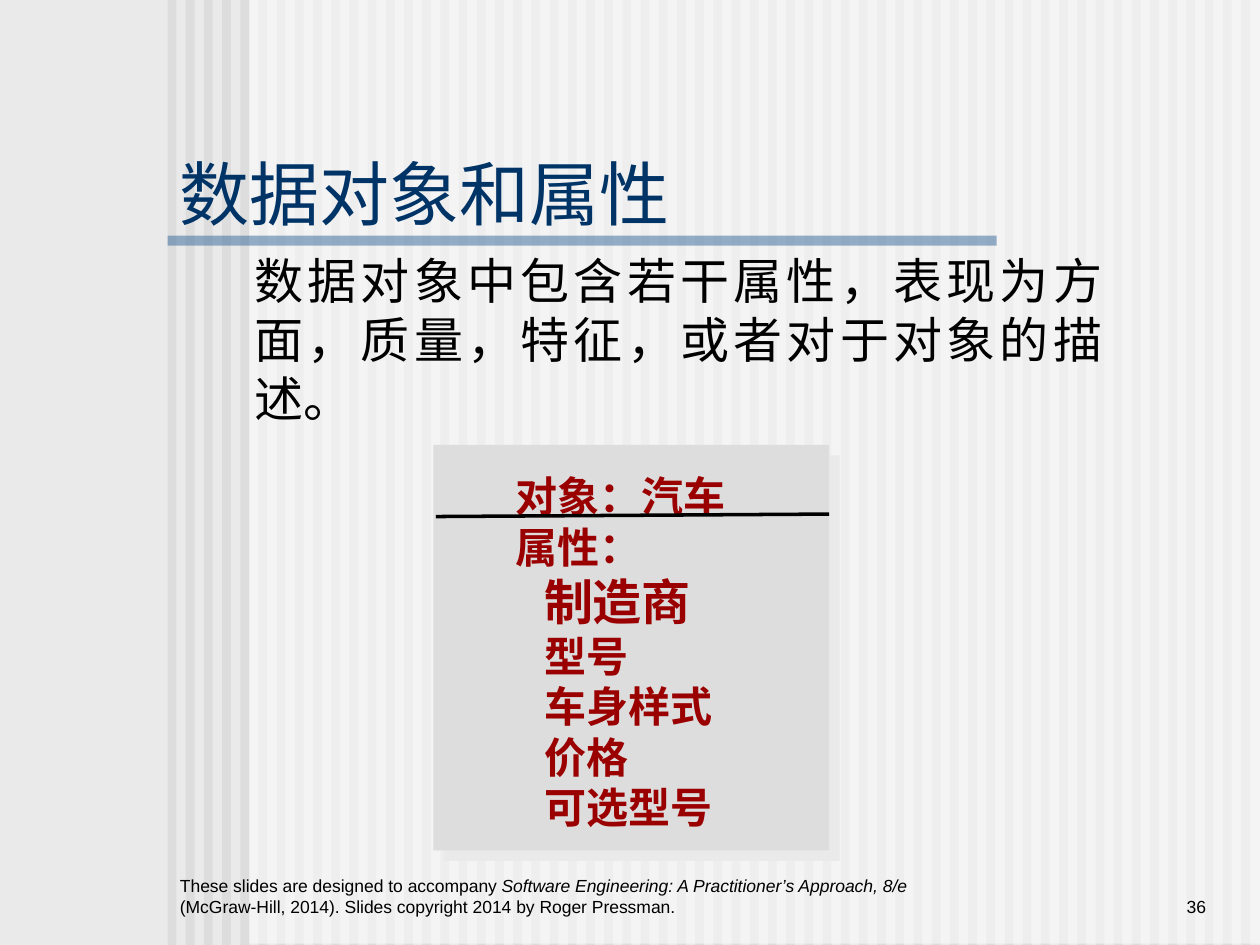
from dataclasses import dataclass

from lxml import etree
from pptx import Presentation
from pptx.dml.color import RGBColor
from pptx.enum.shapes import MSO_CONNECTOR, MSO_SHAPE
from pptx.enum.text import MSO_ANCHOR, PP_ALIGN
from pptx.oxml.ns import qn
from pptx.shapes.autoshape import Shape
from pptx.slide import Slide
from pptx.util import Inches, Pt

BACKDROP = RGBColor(0xEA, 0xEA, 0xEA)
STRIPE = RGBColor(0xDD, 0xDD, 0xDD)
WHITE = RGBColor(0xFF, 0xFF, 0xFF)
BLACK = RGBColor(0x00, 0x00, 0x00)
RULE_BLUE = RGBColor(0x33, 0x66, 0x99)
TITLE_BLUE = RGBColor(0x00, 0x33, 0x66)
DARK_RED = RGBColor(0x9A, 0x00, 0x00)

RECTANGLE = MSO_SHAPE.RECTANGLE
STRAIGHT = MSO_CONNECTOR.STRAIGHT
MIDDLE, BOTTOM = MSO_ANCHOR.MIDDLE, MSO_ANCHOR.BOTTOM
LEFT, RIGHT, JUSTIFY = PP_ALIGN.LEFT, PP_ALIGN.RIGHT, PP_ALIGN.JUSTIFY

FONT = "Arial"
STRIPE_COUNT = 60
STRIPE_LEFT = 1.33
STRIPE_PITCH = 8.52 / (STRIPE_COUNT - 1)
ITEM_INDENT = 0.23


@dataclass(frozen=True)
class Area:
    left: float
    top: float
    width: float
    height: float


@dataclass(frozen=True)
class Span:
    text: str
    italic: bool = False


@dataclass(frozen=True)
class Line:
    spans: tuple[Span, ...]
    size: int
    indent: float = 0
    spacing: float = 1


@dataclass(frozen=True)
class TextBlock:
    area: Area
    lines: tuple[Line, ...]
    color: RGBColor = BLACK
    anchor: MSO_ANCHOR = MIDDLE
    align: PP_ALIGN = LEFT
    bold: bool = False


def plain(text: str, size: int, indent: float = 0, spacing: float = 1) -> Line:
    return Line((Span(text),), size, indent, spacing)


FOOTER = TextBlock(
    Area(1.33, 6.83, 6, 0.5),
    (
        Line(
            (
                Span("These slides are designed to accompany "),
                Span("Software Engineering: A Practitioner’s Approach, 8/e ", True),
                Span("(McGraw-Hill, 2014). Slides copyright 2014 by Roger Pressman."),
            ),
            10,
        ),
    ),
    anchor=BOTTOM,
)
PAGE_NUMBER = TextBlock(
    Area(8.25, 6.83, 1.42, 0.5), (plain("36", 10),), anchor=BOTTOM, align=RIGHT
)
TITLE = TextBlock(
    Area(1.33, 1.17, 7.08, 0.72), (plain("数据对象和属性", 40),), TITLE_BLUE
)
DEFINITION = TextBlock(
    Area(1.92, 1.94, 6.93, 1.5),
    (plain("数据对象中包含若干属性，表现为方面，质量，特征，或者对于对象的描述。", 28),),
    align=JUSTIFY,
)
CAR_OBJECT = TextBlock(
    Area(3.99, 3.49, 2.5, 3.16),
    (
        plain("对象：汽车", 24, spacing=1.5),
        plain("属性：", 24),
        plain("制造商", 28, ITEM_INDENT),
        plain("型号", 24, ITEM_INDENT),
        plain("车身样式", 24, ITEM_INDENT),
        plain("价格", 24, ITEM_INDENT),
        plain("可选型号", 24, ITEM_INDENT),
    ),
    DARK_RED,
    align=JUSTIFY,
    bold=True,
)


def add_rectangle(page: Slide, area: Area, color: RGBColor, opacity: int = 100) -> Shape:
    shape = page.shapes.add_shape(
        RECTANGLE,
        Inches(area.left),
        Inches(area.top),
        Inches(area.width),
        Inches(area.height),
    )
    shape.shadow.inherit = False
    shape.fill.solid()
    shape.fill.fore_color.rgb = color
    shape.line.fill.background()
    if opacity < 100:
        tint = shape.element.spPr.find(qn("a:solidFill")).find(qn("a:srgbClr"))
        etree.SubElement(tint, qn("a:alpha"), val=str(opacity * 1000))
    return shape


def add_shadow(shape: Shape, color: RGBColor, distance: float, angle: int) -> None:
    effects = shape.element.spPr.find(qn("a:effectLst"))
    shadow = etree.SubElement(
        effects,
        qn("a:outerShdw"),
        dist=str(Pt(distance)),
        dir=str(angle * 60000),
        algn="ctr",
        rotWithShape="0",
    )
    etree.SubElement(shadow, qn("a:srgbClr"), val=str(color))


def add_text(page: Slide, block: TextBlock) -> None:
    area = block.area
    box = page.shapes.add_textbox(
        Inches(area.left), Inches(area.top), Inches(area.width), Inches(area.height)
    )
    frame = box.text_frame
    frame.word_wrap = True
    frame.vertical_anchor = block.anchor
    for index, line in enumerate(block.lines):
        para = frame.add_paragraph() if index else frame.paragraphs[0]
        para.alignment = block.align
        para.line_spacing = line.spacing
        properties = para._p.get_or_add_pPr()
        properties.set("hangingPunct", "0")
        properties.set("marL", str(Inches(line.indent)))
        for span in line.spans:
            run = para.add_run()
            run.text = span.text
            run.font.name = FONT
            run.font.size = Pt(line.size)
            run.font.bold = block.bold
            run.font.italic = span.italic
            run.font.color.rgb = block.color


def add_divider(page: Slide) -> None:
    divider = page.shapes.add_connector(
        STRAIGHT, Inches(3.46), Inches(4.1), Inches(6.58), Inches(4.08)
    )
    divider.line.color.rgb = BLACK
    divider.line.width = Pt(2)
    etree.SubElement(divider.element.spPr, qn("a:effectLst"))


def main() -> None:
    deck = Presentation()
    deck.slide_width, deck.slide_height = Inches(10), Inches(7.5)
    page = deck.slides.add_slide(deck.slide_layouts[6])
    page.background.fill.solid()
    page.background.fill.fore_color.rgb = BACKDROP

    for index in range(STRIPE_COUNT):
        left = STRIPE_LEFT + index * STRIPE_PITCH
        add_rectangle(page, Area(left, 0, 0.07, 7.5), STRIPE)
    add_rectangle(page, Area(1.98, -0.01, 8.02, 7.5), WHITE, 50)
    add_rectangle(page, Area(1.33, 1.87, 6.58, 0.08), RULE_BLUE, 50)

    for block in (FOOTER, PAGE_NUMBER, TITLE, DEFINITION):
        add_text(page, block)
    card = add_rectangle(page, Area(3.44, 3.53, 3.14, 3.22), STRIPE)
    add_shadow(card, BACKDROP, 8.5, 45)
    add_text(page, CAR_OBJECT)
    add_divider(page)
    deck.save("out.pptx")


if __name__ == "__main__":
    main()
